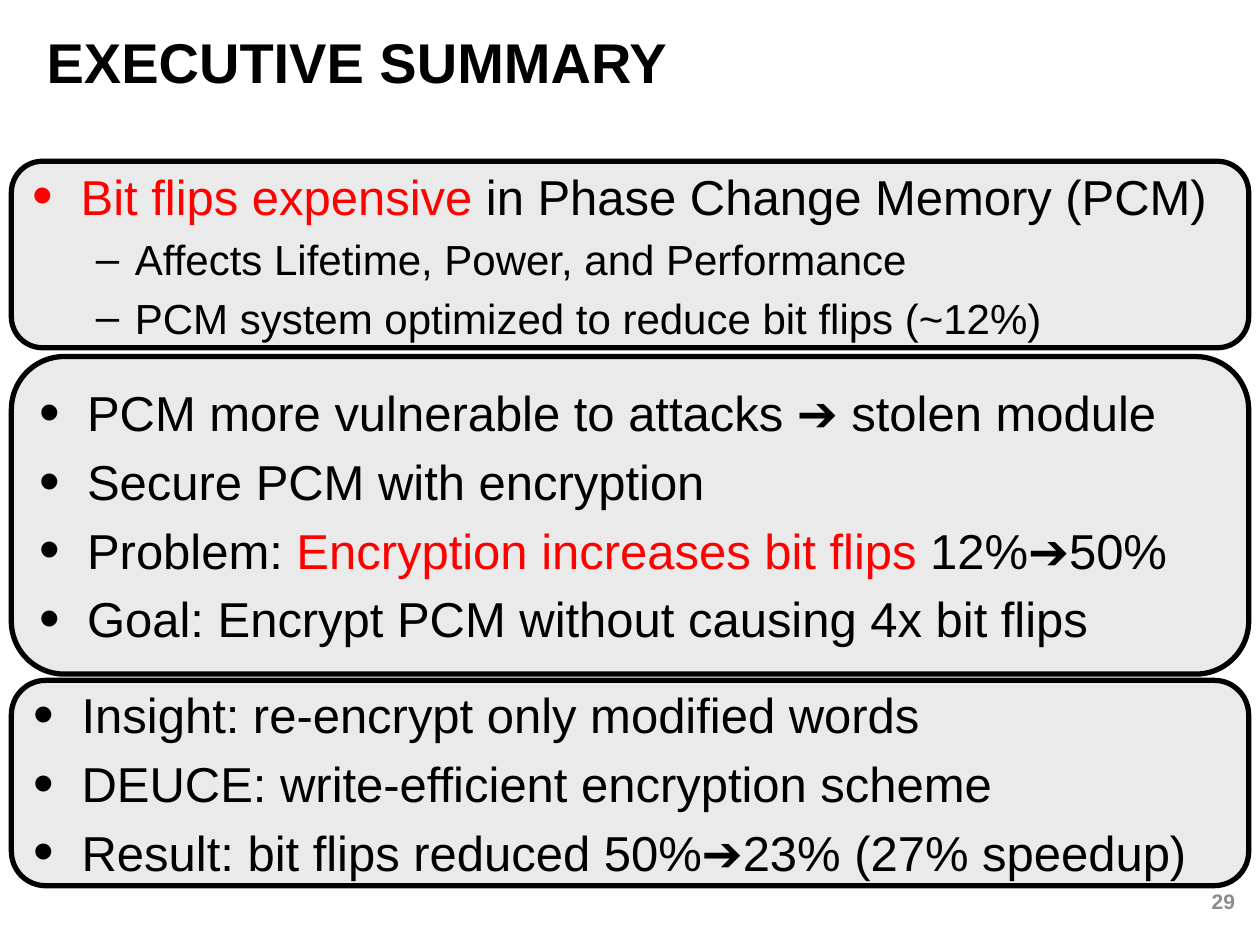
import pptx
import pptx.util
import pptx.dml.color
import pptx.enum.shapes
import pptx.enum.text
import pptx.oxml

Inches, Pt = pptx.util.Inches, pptx.util.Pt
ALIGN = pptx.enum.text.PP_ALIGN
MIDDLE = pptx.enum.text.MSO_ANCHOR.MIDDLE
NS = 'xmlns:a="http://schemas.openxmlformats.org/drawingml/2006/main"'
BLACK, RED, GRAY = "000000", "FF0000", "8C8C8C"


def color(code):
    return pptx.dml.color.RGBColor.from_string(code)


def write(para, runs, size, bold=False):
    para.font.name = "Arial"
    para.font.size = Pt(size)
    para.font.bold = bold
    for text, code in runs:
        run = para.add_run()
        run.text = text
        run.font.color.rgb = color(code)


# Bullet styles by level: left, hang, size, bullet percent, mark
styles = [
    (0.38, 0.38, 28, 120, "•"),
    (0.81, 0.31, 24, 100, "–"),
]

# Panels: top, height, items as (level, runs)
panels = [
    (5.4, 1.63, [
        (0, [("Insight: re-encrypt only modified words", BLACK)]),
        (0, [("DEUCE: write-efficient encryption scheme", BLACK)]),
        (0, [("Result: bit flips reduced 50%➔23% (27% speedup)", BLACK)]),
    ]),
    (2.83, 2.52, [
        (0, [("PCM more vulnerable to attacks ➔ stolen module", BLACK)]),
        (0, [("Secure PCM with encryption", BLACK)]),
        (0, [("Problem: ", BLACK), ("Encryption increases bit flips ", RED),
             ("12%➔50%", BLACK)]),
        (0, [("Goal: Encrypt PCM without causing 4x bit flips", BLACK)]),
    ]),
    (1.28, 1.48, [
        (0, [("Bit flips expensive ", RED),
             ("in Phase Change Memory (PCM)", BLACK)]),
        (1, [("Affects Lifetime, Power, and Performance", BLACK)]),
        (1, [("PCM system optimized to reduce bit flips (~12%)", BLACK)]),
    ]),
]

deck = pptx.Presentation()
deck.slide_width, deck.slide_height = Inches(10), Inches(7.5)
slide = deck.slides.add_slide(deck.slide_layouts[5])

# Rounded panels with bullet lists
for top, height, items in panels:
    panel = slide.shapes.add_shape(
        pptx.enum.shapes.MSO_SHAPE.ROUNDED_RECTANGLE,
        Inches(0.09), Inches(top), Inches(9.82), Inches(height))
    panel.shadow.inherit = False
    panel.fill.solid()
    panel.fill.fore_color.rgb = color("EAEAEA")
    panel.line.color.rgb = color(BLACK)
    panel.line.width = Pt(3)
    frame = panel.text_frame
    frame.word_wrap = True
    frame.vertical_anchor = MIDDLE
    for i, (level, runs) in enumerate(items):
        para = frame.add_paragraph() if i else frame.paragraphs[0]
        left, hang, size, scale, mark = styles[level]
        para.level = level
        para.alignment = ALIGN.LEFT
        props = para._p.get_or_add_pPr()
        props.set("marL", str(Inches(left)))
        props.set("indent", str(-Inches(hang)))
        for part in (
            f'<a:spcBef {NS}><a:spcPct val="20000"/></a:spcBef>',
            f'<a:buSzPct {NS} val="{scale * 1000}"/>',
            f'<a:buFont {NS} typeface="Arial"/>',
            f'<a:buChar {NS} char="{mark}"/>',
        ):
            props.append(pptx.oxml.parse_xml(part))
        write(para, runs, size)

# Title
title = slide.shapes.title
title.left, title.top = Inches(0.27), Inches(0.22)
title.width, title.height = Inches(9.17), Inches(0.53)
title.text_frame.vertical_anchor = MIDDLE
head = title.text_frame.paragraphs[0]
head.alignment = ALIGN.LEFT
write(head, [("EXECUTIVE SUMMARY", BLACK)], 32, True)

# Page number
page = slide.shapes.add_textbox(
    Inches(7.57), Inches(6.95), Inches(2.33), Inches(0.4))
page.text_frame.word_wrap = True
page.text_frame.vertical_anchor = MIDDLE
foot = page.text_frame.paragraphs[0]
foot.alignment = ALIGN.RIGHT
write(foot, [("29", GRAY)], 12, True)

deck.save("out.pptx")
